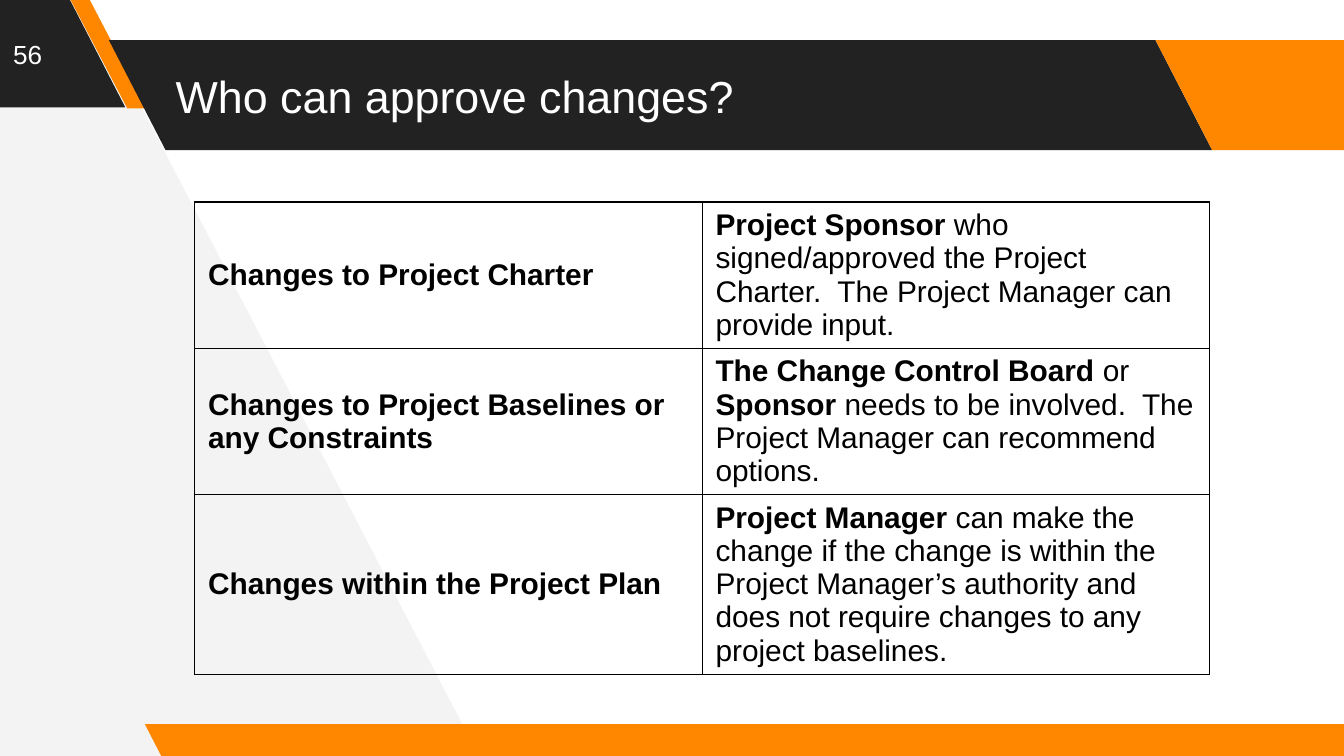
import pptx
import pptx.util
import pptx.dml.color
import pptx.enum.shapes
import pptx.enum.text
import pptx.oxml
import pptx.oxml.ns

Cm, Pt = pptx.util.Cm, pptx.util.Pt

THEME = {
    "font": "Arial",
    "dark": "222222", "accent": "FF8700", "pale": "F3F3F3",
    "light": "FFFFFF", "text": "000000",
    "title": 24, "number": 14, "body": 16, "border": 0.75,
}

TITLE = "Who can approve changes?"
NUMBER = "56"
ROWS = [
    ([("Changes to Project Charter", True)],
     [("Project Sponsor", True),
      (" who signed/approved the Project Charter.  The Project Manager can provide input.", False)]),
    ([("Changes to Project Baselines or any Constraints", True)],
     [("The Change Control Board ", True), ("or ", False), ("Sponsor", True),
      (" needs to be involved.  The Project Manager can recommend options.", False)]),
    ([("Changes within the Project Plan", True)],
     [("Project Manager", True),
      (" can make the change if the change is within the Project Manager’s authority"
       " and does not require changes to any project baselines.", False)]),
]
ROW_HEIGHTS = [2.76, 2.76, 3.4]
COL_WIDTH = 9.59
TABLE_AT = (3.68, 3.82)

SIDEBAR = [(9.04, 14.27), (1.57, -0.1), (-0.15, -0.1), (-0.05, 14.38)]
BANDS = [
    ((-2.51, -0.05, 4.88, 2.08), 0.515, "dark"),
    ((1.32, -0.03, 1.45, 2.08), 0.75, "accent"),
    ((2.06, 0.76, 20.85, 2.08), 0.515, "dark"),
    ((21.84, 0.76, 4.88, 2.08), 0.515, "accent"),
    ((2.74, 13.69, 23.24, 0.64), 0.515, "accent"),
]
TITLE_BOX = (3.07, 0.76, 18.67, 2.08)
NUMBER_BOX = (0, 0, 1.65, 2.03)


def color(name):
    return pptx.dml.color.RGBColor.from_string(THEME[name])


def paint(sp, name):
    sp.shadow.inherit = False
    sp.fill.solid()
    sp.fill.fore_color.rgb = color(name)
    sp.line.fill.background()


def style_run(r, size, name, bold=False):
    r.font.name = THEME["font"]
    r.font.size = Pt(THEME[size])
    r.font.color.rgb = color(name)
    r.font.bold = bold


def fill_label(sp, box, text, size):
    sp.left, sp.top, sp.width, sp.height = (Cm(v) for v in box)
    tf = sp.text_frame
    tf.text = text
    tf.word_wrap = True
    tf.auto_size = pptx.enum.text.MSO_AUTO_SIZE.NONE
    tf.vertical_anchor = pptx.enum.text.MSO_ANCHOR.MIDDLE
    tf.margin_left = tf.margin_right = tf.margin_top = tf.margin_bottom = Cm(0.25)
    p = tf.paragraphs[0]
    p.alignment = pptx.enum.text.PP_ALIGN.LEFT
    style_run(p.runs[0], size, "light")


def add_borders(cell):
    tc_pr = cell._tc.get_or_add_tcPr()
    for side in ("lnL", "lnR", "lnT", "lnB"):
        tc_pr.append(pptx.oxml.parse_xml(
            f'<a:{side} {pptx.oxml.ns.nsdecls("a")} w="{Pt(THEME["border"])}"><a:solidFill>'
            f'<a:srgbClr val="{THEME["text"]}"/></a:solidFill></a:{side}>'))


def add_approval_table(s):
    table = s.shapes.add_table(
        len(ROWS), 2, *(Cm(v) for v in TABLE_AT),
        Cm(2 * COL_WIDTH), Cm(sum(ROW_HEIGHTS))).table
    table.first_row = table.horz_banding = False
    for col in table.columns:
        col.width = Cm(COL_WIDTH)
    for row, height, texts in zip(table.rows, ROW_HEIGHTS, ROWS):
        row.height = Cm(height)
        for cell, runs in zip(row.cells, texts):
            add_borders(cell)
            cell.fill.background()
            cell.vertical_anchor = pptx.enum.text.MSO_ANCHOR.MIDDLE
            p = cell.text_frame.paragraphs[0]
            for text, bold in runs:
                r = p.add_run()
                r.text = text
                style_run(r, "body", "text", bold)


def main():
    prs = pptx.Presentation()
    prs.slide_width, prs.slide_height = Cm(25.4), Cm(14.29)
    s = prs.slides.add_slide(prs.slide_layouts[5])

    points = [(Cm(x), Cm(y)) for x, y in SIDEBAR]
    builder = s.shapes.build_freeform(*points[0])
    builder.add_line_segments(points[1:], close=True)
    paint(builder.convert_to_shape(), "pale")

    for box, slant, name in BANDS:
        sp = s.shapes.add_shape(
            pptx.enum.shapes.MSO_SHAPE.PARALLELOGRAM, *(Cm(v) for v in box))
        sp.adjustments[0] = slant
        sp._element.spPr.xfrm.set("flipH", "1")
        paint(sp, name)

    title = s.shapes.title
    s.shapes._spTree.append(title._element)
    fill_label(title, TITLE_BOX, TITLE, "title")
    number = s.shapes.add_textbox(*(Cm(v) for v in NUMBER_BOX))
    fill_label(number, NUMBER_BOX, NUMBER, "number")
    add_approval_table(s)
    prs.save("out.pptx")


if __name__ == "__main__":
    main()
